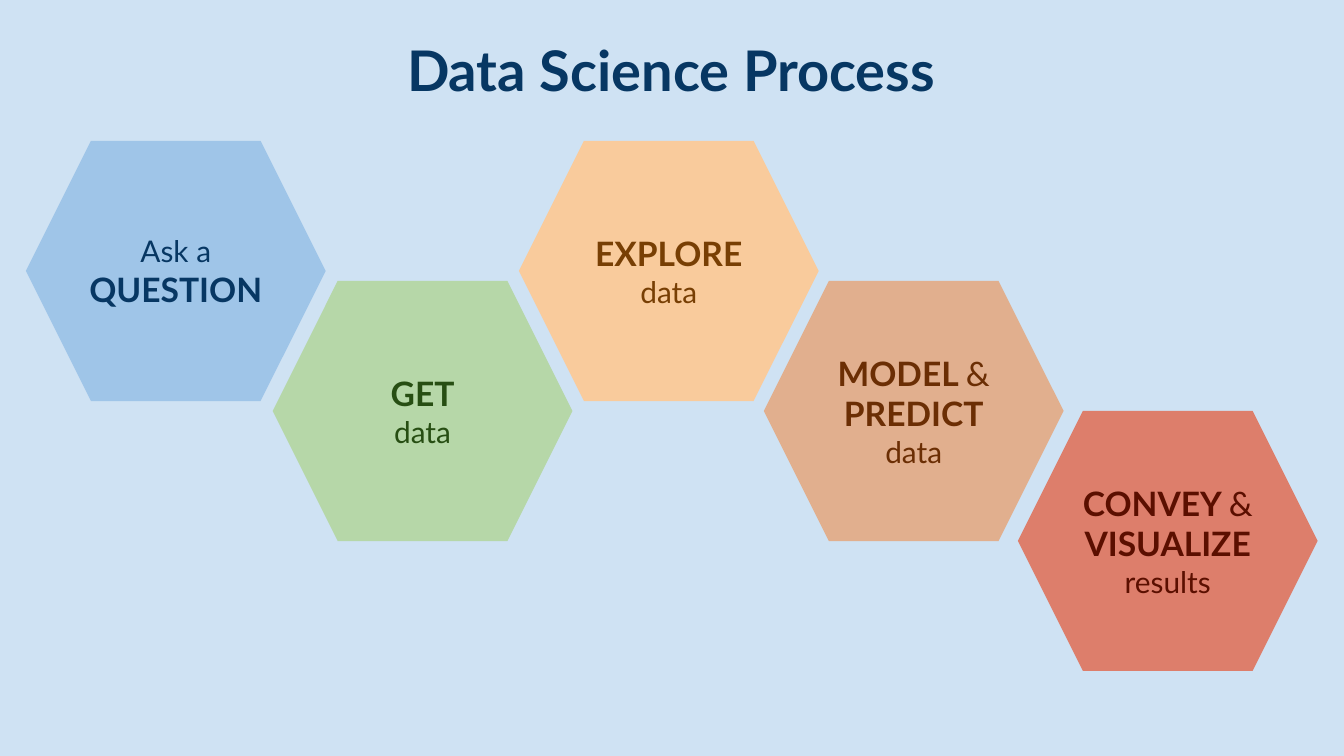
from dataclasses import dataclass

from lxml import etree
from pptx import Presentation
from pptx.dml.color import RGBColor
from pptx.enum import shapes, text
from pptx.oxml import ns
from pptx.util import Pt


@dataclass(frozen=True)
class Theme:
    font: str = "Lato"
    background: str = "CFE2F3"
    navy: str = "073763"
    title_size: int = 30
    strong_size: int = 18
    plain_size: int = 16
    margin: float = 7.2
    # Fill, fill opacity in percent, ink
    blue: tuple = ("9FC5E8", 100, "073763")
    green: tuple = ("B6D7A8", 100, "274E13")
    yellow: tuple = ("F9CB9C", 100, "783F04")
    orange: tuple = ("F96D0A", 43, "6B2E04")
    red: tuple = ("DD7E6B", 100, "5B0F00")


THEME = Theme()
HEX_WIDTH, HEX_HEIGHT = 160.6, 139.4
UPPER, MIDDLE, LOWER = 75.5, 150.5, 220.1

STRONG = {"size": THEME.strong_size, "bold": True}
JOINER = {"size": THEME.strong_size}
PLAIN = {"size": THEME.plain_size}

# Left, top, colours, paragraphs of (words, format)
STEPS = [
    (13.9, UPPER, THEME.blue, [[("Ask a", PLAIN)], [("QUESTION", STRONG)]]),
    (146.1, MIDDLE, THEME.green, [[("GET", STRONG)], [("data", PLAIN)]]),
    (278, UPPER, THEME.yellow, [[("EXPLORE", STRONG)], [("data", PLAIN)]]),
    (409.2, MIDDLE, THEME.orange,
     [[("MODEL ", STRONG), ("& ", JOINER), ("PREDICT", STRONG)], [("data", PLAIN)]]),
    (545.3, LOWER, THEME.red,
     [[("CONVEY ", STRONG), ("&", JOINER)], [("VISUALIZE ", STRONG), ("results", PLAIN)]]),
]


def add_words(paragraph, words, *, size, color, bold=False):
    run = paragraph.add_run()
    run.text = words
    run.font.name = THEME.font
    run.font.size = Pt(size)
    run.font.bold = bold
    run.font.color.rgb = RGBColor.from_string(color)


class ProcessSlide:
    def __init__(self, deck, theme):
        self.theme = theme
        self.slide = deck.slides.add_slide(deck.slide_layouts[5])
        self.fill(self.slide.background, theme.background)

    def fill(self, target, color, opacity=100):
        target.fill.solid()
        target.fill.fore_color.rgb = RGBColor.from_string(color)
        if opacity < 100:
            tint = target.fill._xPr.find(".//" + ns.qn("a:srgbClr"))
            etree.SubElement(tint, ns.qn("a:alpha"), val=str(opacity * 1000))

    def frame(self, shape):
        """Give the shape's text the common margins, anchor and wrapping."""
        frame = shape.text_frame
        frame.word_wrap = True
        frame.auto_size = text.MSO_AUTO_SIZE.NONE
        frame.vertical_anchor = text.MSO_ANCHOR.MIDDLE
        frame.margin_left = frame.margin_right = Pt(self.theme.margin)
        frame.margin_top = frame.margin_bottom = Pt(self.theme.margin)
        return frame

    def title(self, words, left, top, width, height):
        heading = self.slide.shapes.title
        heading.left, heading.top = Pt(left), Pt(top)
        heading.width, heading.height = Pt(width), Pt(height)
        paragraph = self.frame(heading).paragraphs[0]
        paragraph.alignment = text.PP_ALIGN.CENTER
        paragraph.line_spacing = 1.15
        add_words(paragraph, words, size=self.theme.title_size,
                  color=self.theme.navy, bold=True)

    def step(self, left, top, colors, paragraphs):
        color, opacity, ink = colors
        hexagon = self.slide.shapes.add_shape(
            shapes.MSO_SHAPE.HEXAGON, Pt(left), Pt(top), Pt(HEX_WIDTH), Pt(HEX_HEIGHT))
        hexagon.shadow.inherit = False
        self.fill(hexagon, color, opacity)
        hexagon.line.fill.background()
        frame = self.frame(hexagon)
        for index, runs in enumerate(paragraphs):
            paragraph = frame.add_paragraph() if index else frame.paragraphs[0]
            paragraph.alignment = text.PP_ALIGN.CENTER
            for words, style in runs:
                add_words(paragraph, words, color=ink, **style)


def main():
    deck = Presentation()
    deck.slide_width, deck.slide_height = Pt(720), Pt(405)
    process = ProcessSlide(deck, THEME)
    process.title("Data Science Process", 203, 15.1, 313.2, 38.2)
    for step in STEPS:
        process.step(*step)
    deck.save("out.pptx")


if __name__ == "__main__":
    main()
